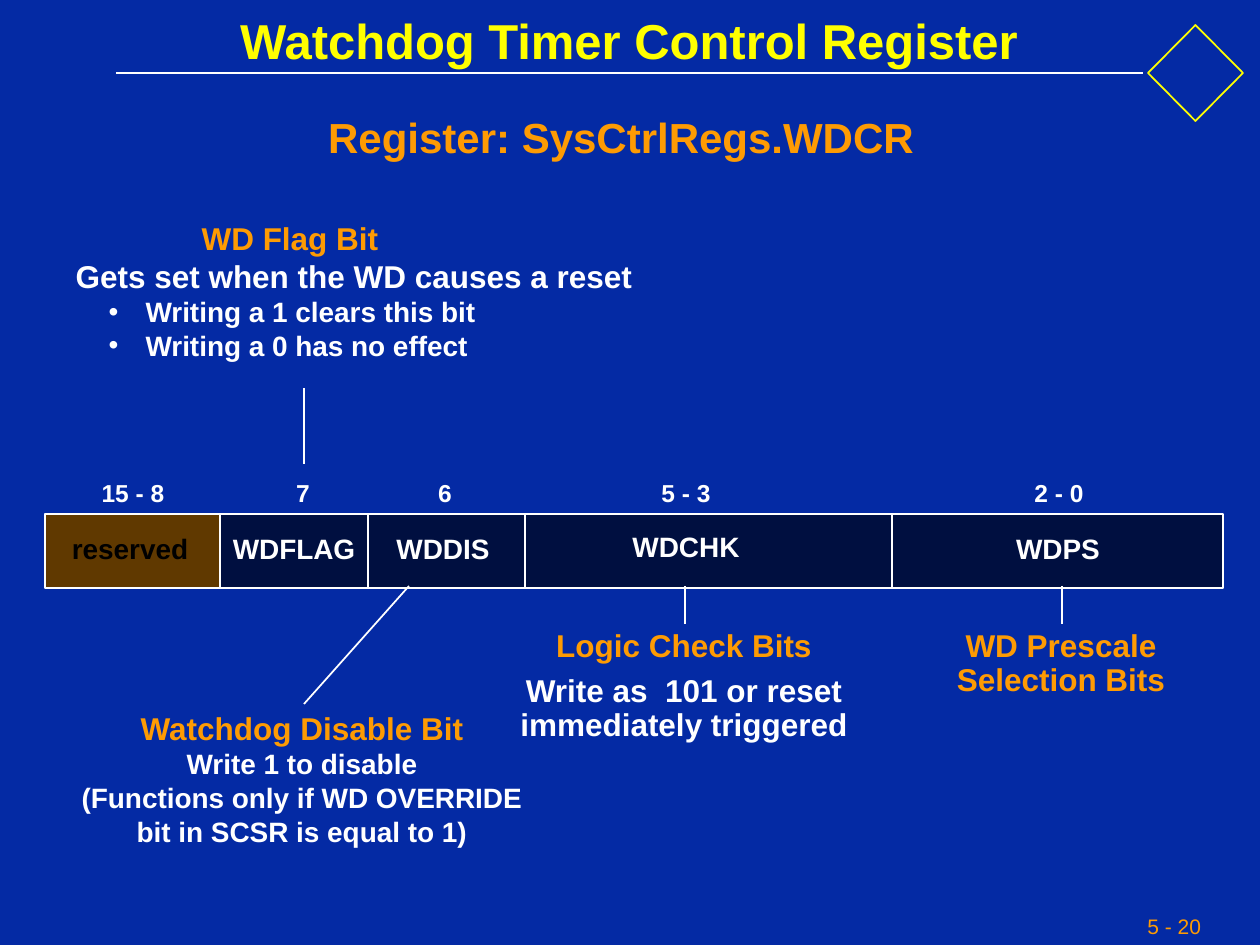
from pptx import Presentation
from pptx.dml.color import RGBColor
from pptx.enum.shapes import MSO_CONNECTOR, MSO_SHAPE
from pptx.enum.text import MSO_ANCHOR, MSO_AUTO_SIZE, PP_ALIGN
from pptx.oxml import parse_xml
from pptx.oxml.ns import nsdecls
from pptx.util import Pt

EMU_PER_PX = 914400 / 126
COLORS = {
    "background": "042AA4",
    "white": "FFFFFF",
    "yellow": "FFFF00",
    "orange": "FE9B03",
    "black": "000000",
    "reserved": "603900",
    "register": "000F40",
}
REGISTER_TOP, REGISTER_BOTTOM = 514, 588
RESERVED_LEFT, REGISTER_LEFT, REGISTER_RIGHT = 45, 220, 1223
FIELDS = [
    ("reserved", "15 - 8", 130, 133, 525, "black"),
    ("WDFLAG", "7", 294, 303, 525, "white"),
    ("WDDIS", "6", 443, 445, 525, "white"),
    ("WDCHK", "5 - 3", 686, 686, 523, "white"),
    ("WDPS", "2 - 0", 1058, 1059, 525, "white"),
]
DIVIDERS = [368, 525, 892]
LEADERS = [
    (304, 388, 304, 464),
    (409, 586, 304, 704),
    (685, 586, 685, 624),
    (1062, 586, 1062, 624),
]


def px(length):
    return round(length * EMU_PER_PX)


def rgb(color):
    return RGBColor.from_string(COLORS[color])


def add_bullet(properties, color):
    for tag, attributes, inner in (
        ("buClr", "", f'<a:srgbClr val="{COLORS[color]}"/>'),
        ("buFont", 'typeface="Arial"', ""),
        ("buChar", 'char="•"', ""),
    ):
        properties.append(parse_xml(f"<a:{tag} {nsdecls('a')} {attributes}>{inner}</a:{tag}>"))


def write(frame, text, size=16, color="white", bold=True, align=PP_ALIGN.CENTER,
          spacing=1.0, before=0, left=0, hanging=0, bullet=False):
    paragraph = frame.add_paragraph() if frame.text else frame.paragraphs[0]
    properties = paragraph._p.get_or_add_pPr()
    properties.set("marL", str(px(left)))
    properties.set("indent", str(-px(hanging)))
    if bullet:
        add_bullet(properties, color)
    else:
        properties.append(parse_xml(f"<a:buNone {nsdecls('a')}/>"))
    paragraph.alignment = align
    paragraph.line_spacing = spacing
    paragraph.space_before = Pt(before)
    run = paragraph.add_run()
    run.text = text
    run.font.name = "Arial"
    run.font.size = Pt(size)
    run.font.bold = bold
    run.font.color.rgb = rgb(color)


def prepare_frame(frame):
    frame.word_wrap = True
    frame.auto_size = MSO_AUTO_SIZE.NONE
    frame.vertical_anchor = MSO_ANCHOR.TOP
    return frame


def add_text_box(slide, left, top, width, height):
    box = slide.shapes.add_textbox(px(left), px(top), px(width), px(height))
    return prepare_frame(box.text_frame)


def place(placeholder, left, top, width, height):
    placeholder.left, placeholder.top = px(left), px(top)
    placeholder.width, placeholder.height = px(width), px(height)
    return prepare_frame(placeholder.text_frame)


def add_line(slide, x1, y1, x2, y2):
    line = slide.shapes.add_connector(MSO_CONNECTOR.STRAIGHT, px(x1), px(y1), px(x2), px(y2))
    line.line.color.rgb = rgb("white")
    line.line.width = Pt(1)
    line._element.spPr.append(parse_xml(f"<a:effectLst {nsdecls('a')}/>"))


def paint(shape, fill, outline):
    shape.shadow.inherit = False
    if fill:
        shape.fill.solid()
        shape.fill.fore_color.rgb = rgb(fill)
    else:
        shape.fill.background()
    shape.line.color.rgb = rgb(outline)
    shape.line.width = Pt(1)


def add_header(slide):
    add_line(slide, 116, 73, 1143, 73)
    emblem = slide.shapes.add_shape(MSO_SHAPE.DIAMOND, px(1148), px(25), px(95), px(96))
    paint(emblem, None, "yellow")
    title = place(slide.shapes.title, 212, 16, 834, 60)
    write(title, "Watchdog Timer Control Register", size=28, color="yellow", spacing=0.8)
    subtitle = add_text_box(slide, 296, 115, 650, 53)
    write(subtitle, "Register: SysCtrlRegs.WDCR", size=24, color="orange", spacing=0.8)


def add_register(slide):
    outline = slide.shapes.build_freeform(px(REGISTER_LEFT), px(REGISTER_TOP), scale=1.0)
    outline.add_line_segments([
        (px(RESERVED_LEFT), px(REGISTER_TOP)),
        (px(RESERVED_LEFT), px(REGISTER_BOTTOM)),
        (px(REGISTER_LEFT), px(REGISTER_BOTTOM)),
    ], close=False)
    paint(outline.convert_to_shape(), "reserved", "white")
    used_bits = slide.shapes.add_shape(
        MSO_SHAPE.RECTANGLE, px(REGISTER_LEFT), px(REGISTER_TOP),
        px(REGISTER_RIGHT - REGISTER_LEFT), px(REGISTER_BOTTOM - REGISTER_TOP))
    paint(used_bits, "register", "white")
    for x in DIVIDERS:
        add_line(slide, x, REGISTER_TOP, x, REGISTER_BOTTOM)
    for name, bits, name_center, bits_center, name_top, color in FIELDS:
        write(add_text_box(slide, name_center - 80, name_top, 160, 45), name, color=color)
        write(add_text_box(slide, bits_center - 50, 472, 100, 42), bits, size=14)


def add_notes_on_fields(slide):
    flag = place(slide.placeholders[1], 63, 213, 600, 160)
    write(flag, "WD Flag Bit", size=18, color="orange", align=PP_ALIGN.LEFT, left=126)
    write(flag, "Gets set when the WD causes a reset", size=18, align=PP_ALIGN.LEFT)
    for effect in ("Writing a 1 clears this bit", "Writing a 0 has no effect"):
        write(flag, effect, align=PP_ALIGN.LEFT, left=70, hanging=37, bullet=True)

    disable = add_text_box(slide, 59, 703, 486, 151)
    write(disable, "Watchdog Disable Bit", size=18, color="orange")
    for line in ("Write 1 to disable", "(Functions only if WD OVERRIDE", "bit in SCSR is equal to 1)"):
        write(disable, line)

    check = add_text_box(slide, 495, 624, 378, 126)
    write(check, "Logic Check Bits", size=18, color="orange", spacing=0.9)
    write(check, "Write as  101 or reset immediately triggered", size=18, spacing=0.9, before=6.5)

    prescale = add_text_box(slide, 935, 624, 252, 81)
    for line in ("WD Prescale", "Selection Bits"):
        write(prescale, line, size=18, color="orange", spacing=0.9)

    for leader in LEADERS:
        add_line(slide, *leader)


def main():
    deck = Presentation()
    deck.slide_width, deck.slide_height = px(1260), px(945)
    slide = deck.slides.add_slide(deck.slide_layouts[1])
    slide.background.fill.solid()
    slide.background.fill.fore_color.rgb = rgb("background")
    add_header(slide)
    add_register(slide)
    add_notes_on_fields(slide)
    page_number = add_text_box(slide, 1135, 907, 120, 38)
    write(page_number, "5 - 20", size=12, color="orange", bold=False, align=PP_ALIGN.LEFT)
    deck.save("out.pptx")


if __name__ == "__main__":
    main()
